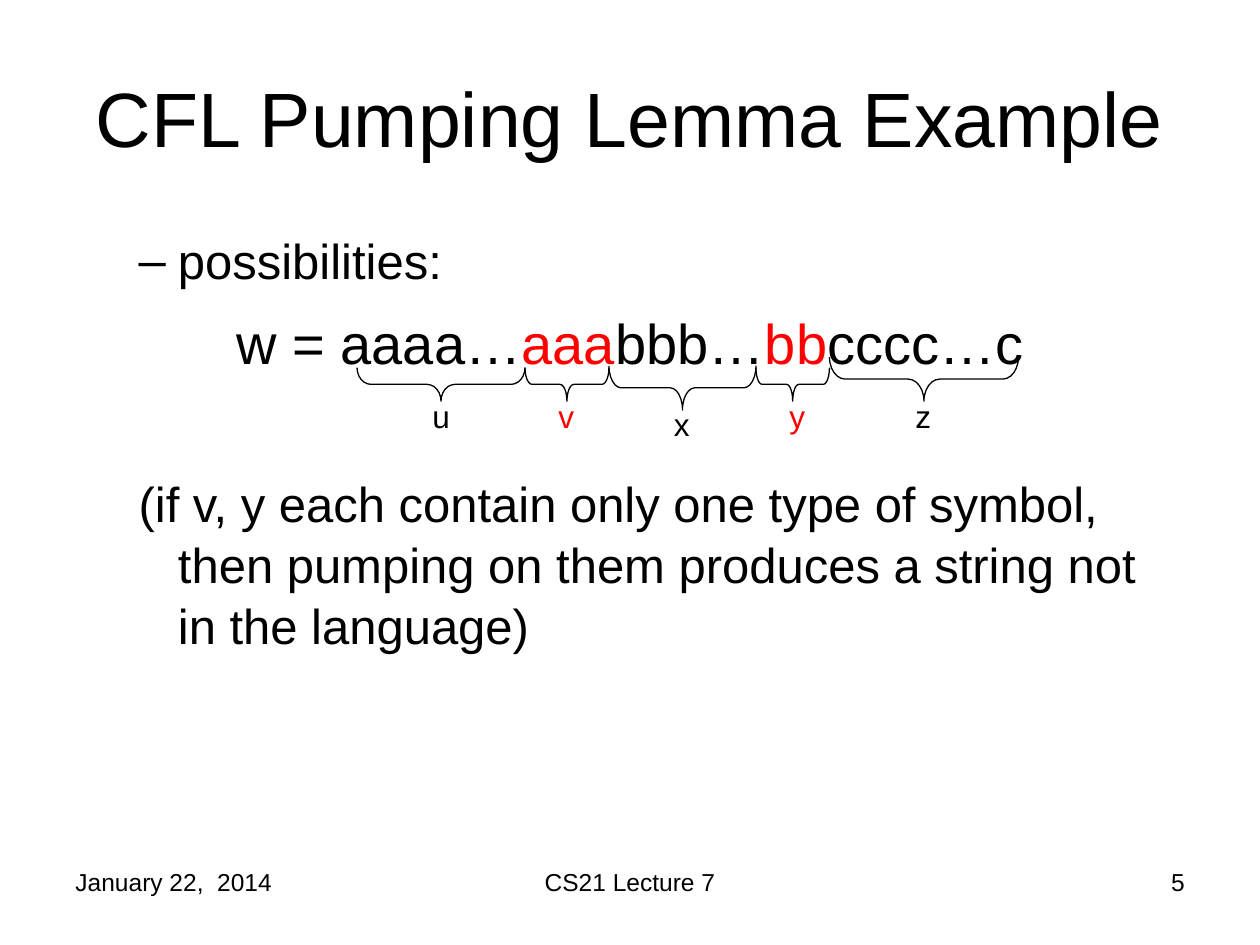
import pptx
import pptx.util
import pptx.dml.color
import pptx.enum.shapes
import pptx.enum.text
from dataclasses import dataclass
from lxml import etree

Pt = pptx.util.Pt
RGB = pptx.dml.color.RGBColor
Align = pptx.enum.text.PP_ALIGN
Anchor = pptx.enum.text.MSO_ANCHOR
Fit = pptx.enum.text.MSO_AUTO_SIZE


@dataclass(frozen=True)
class Theme:
    font: str = "Arial"
    ink: RGB = RGB(0, 0, 0)
    hot: RGB = RGB(255, 0, 0)
    title: int = 44
    word: int = 32
    body: int = 28
    label: int = 18
    foot: int = 14
    line: float = 0.75
    lead: float = 1.04


theme = Theme()

TITLE = "CFL Pumping Lemma Example"
# text runs, each with its "pumped" flag
WORD = [("w = aaaa…", False), ("aaa", True), ("bbb…", False),
        ("bb", True), ("cccc…c", False)]
# runs, size, level, margin, indent, space before, bullet, alignment
BODY = [
    ([("possibilities:", False)], theme.body, 1, 58.5, -22.5, 0, "–", Align.LEFT),
    (WORD, theme.word, 0, 27, -27, 9, None, Align.CENTER),
    ([("(if v, y each contain only one type of symbol, then pumping on "
       "them produces a string not in the language)", False)],
     theme.body, 1, 58.5, -22.5, 54.5, None, Align.LEFT),
]
# name, pumped, brace width, brace top, brace depth, label shift
PARTS = [
    ("u", False, 96, 210, 19.2, 0),
    ("v", True, 48, 210, 19.2, 0),
    ("x", False, 84, 209, 25.2, 0),
    ("y", True, 42, 210, 19.2, 3),
    ("z", False, 108, 204, 25.2, 0),
]
START = 204  # left end of the first brace
FOOT = [
    ("January 22,  2014", 36, 168, Align.LEFT),
    ("CS21 Lecture 7", 246, 228, Align.CENTER),
    ("5", 516, 168, Align.RIGHT),
]


def style(font, size, hot=False):
    font.name = theme.font
    font.size = Pt(size)
    font.color.rgb = theme.hot if hot else theme.ink


def place(shape, left, top, width, height):
    shape.left, shape.top = Pt(left), Pt(top)
    shape.width, shape.height = Pt(width), Pt(height)


def mark(para, margin, indent, char):
    """Set the hanging indent and the bullet, or no bullet."""
    props = para._p.get_or_add_pPr()
    props.set("marL", str(Pt(margin)))
    props.set("indent", str(Pt(indent)))
    space = pptx.oxml.ns.qn
    if char:
        face = etree.SubElement(props, space("a:buFont"))
        face.set("typeface", theme.font)
        etree.SubElement(props, space("a:buChar")).set("char", char)
    else:
        etree.SubElement(props, space("a:buNone"))


def add_text(slide, text, box, size, align=Align.LEFT, hot=False):
    shape = slide.shapes.add_textbox(*map(Pt, box))
    shape.text_frame.word_wrap = True
    para = shape.text_frame.paragraphs[0]
    para.text, para.alignment = text, align
    style(para.font, size, hot)


def add_title(slide):
    shape = slide.shapes.title
    place(shape, 36, 21.6, 648, 90)
    frame = shape.text_frame
    frame.text = TITLE
    frame.auto_size = Fit.NONE
    frame.vertical_anchor = Anchor.MIDDLE
    para = frame.paragraphs[0]
    para.alignment = Align.CENTER
    style(para.font, theme.title)


def add_body(slide):
    shape = slide.placeholders[1]
    place(shape, 36, 127, 648, 356)
    frame = shape.text_frame
    frame.auto_size = Fit.NONE
    for i, (runs, size, level, margin, indent, gap, char, align) in enumerate(BODY):
        para = frame.add_paragraph() if i else frame.paragraphs[0]
        mark(para, margin, indent, char)
        para.level, para.alignment = level, align
        para.space_before, para.line_spacing = Pt(gap), theme.lead
        style(para.font, size)
        for text, hot in runs:
            run = para.add_run()
            run.text = text
            if hot:
                run.font.color.rgb = theme.hot


def add_brace(slide, left, top, width, depth):
    """Add a brace that opens upward; it is a left brace turned about its centre."""
    mid, level = left + width / 2, top + depth / 2
    shape = slide.shapes.add_shape(
        pptx.enum.shapes.MSO_SHAPE.LEFT_BRACE,
        Pt(mid - depth / 2), Pt(level - width / 2), Pt(depth), Pt(width))
    shape.rotation = 270
    shape.adjustments[0] = width / 12 / depth
    shape.shadow.inherit = False
    shape.fill.background()
    shape.line.color.rgb = theme.ink
    shape.line.width = Pt(theme.line)


def add_parts(slide):
    left = START
    for name, hot, width, top, depth, shift in PARTS:
        add_brace(slide, left, top, width, depth)
        box = (left + width / 2 - 12 + shift, top + depth - 6, 30, 28.8)
        add_text(slide, name, box, theme.label, hot=hot)
        left += width


def main():
    deck = pptx.Presentation()
    deck.slide_width, deck.slide_height = Pt(720), Pt(540)
    slide = deck.slides.add_slide(deck.slide_layouts[1])
    add_title(slide)
    add_body(slide)
    add_parts(slide)
    for text, left, width, align in FOOT:
        add_text(slide, text, (left, 492, width, 37.5), theme.foot, align)
    deck.save("out.pptx")


if __name__ == "__main__":
    main()
